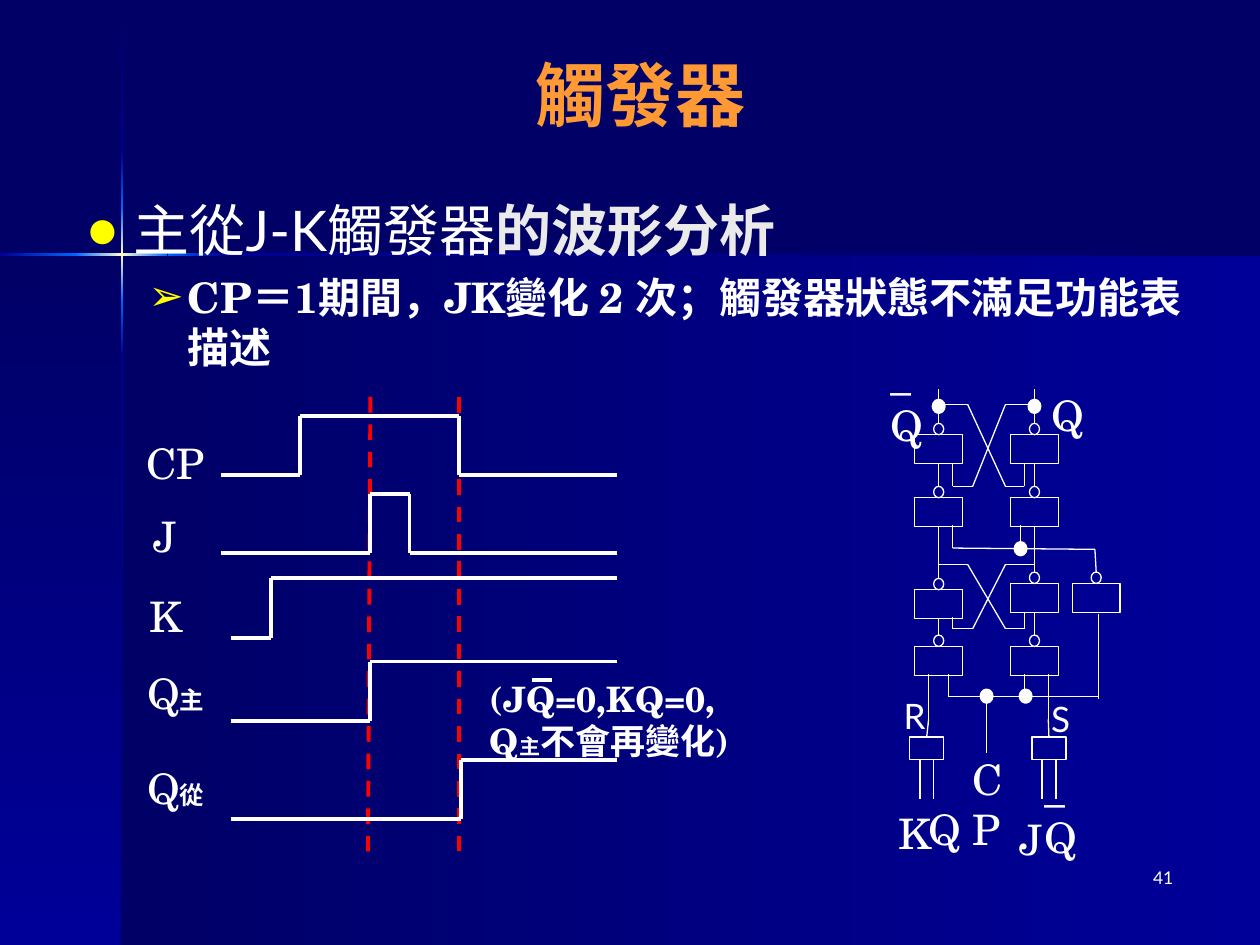
"""Slide on the waveform analysis of a master-slave J-K flip-flop."""
from copy import deepcopy
from itertools import pairwise
from math import dist

from lxml import etree
from pptx import Presentation
from pptx.dml.color import RGBColor
from pptx.enum.dml import MSO_LINE
from pptx.enum.shapes import MSO_CONNECTOR, MSO_SHAPE
from pptx.enum.text import MSO_ANCHOR, MSO_AUTO_SIZE, PP_ALIGN
from pptx.oxml.ns import qn
from pptx.util import Inches, Pt

STRAIGHT = MSO_CONNECTOR.STRAIGHT
RECT, OVAL = MSO_SHAPE.RECTANGLE, MSO_SHAPE.OVAL
DASH = MSO_LINE.DASH
LEFT, CENTER, RIGHT = PP_ALIGN.LEFT, PP_ALIGN.CENTER, PP_ALIGN.RIGHT
MIDDLE = MSO_ANCHOR.MIDDLE
NO_FIT = MSO_AUTO_SIZE.NONE

NAVY = RGBColor(0x00, 0x00, 0x66)
BLUE = RGBColor(0x00, 0x00, 0x99)
BRIGHT = RGBColor(0x00, 0x66, 0xFF)
CREAM = RGBColor(0xFF, 0xFF, 0xCC)
WHITE = RGBColor(0xFF, 0xFF, 0xFF)
GRAY = RGBColor(0xEA, 0xEA, 0xEA)
ORANGE = RGBColor(0xFF, 0x99, 0x33)
RED = RGBColor(0xFF, 0x00, 0x00)
SANS, SERIF = "Lato", "TeX Gyre Schola"

PANELS = [
    (0.97, 2.02, 9.03, 5.48, 0, (NAVY, BLUE)),
    (0, 2.02, 0.97, 5.48, 270, (NAVY, BLUE)),
    (0.96, 0.01, 0.02, 1.2, 270, (NAVY, BLUE)),
    (0.96, 2.82, 0.02, 4.68, 270, (BLUE, NAVY)),
    (1.77, 2.01, 8.23, 0.02, 0, (BLUE, NAVY)),
    (0.96, 2.38, 0.02, 0.44, 270, (BRIGHT, BLUE)),
    (0.96, 1.21, 0.02, 0.44, 270, (BLUE, BRIGHT)),
    (0.96, 1.65, 0.02, 0.73, 270, (BRIGHT, CREAM, BRIGHT)),
    (0, 2.01, 0.61, 0.02, 0, (BLUE, BRIGHT)),
    (1.33, 2.01, 0.44, 0.02, 0, (BRIGHT, BLUE)),
    (0.6, 2.01, 0.73, 0.02, 0, (BRIGHT, CREAM, BRIGHT)),
]
WAVES = [
    (1.75, 3.77, (2.38, 3.64)),
    (1.75, 4.39, (2.94, 3.25)),
    (1.83, 5.06, (2.15,)),
    (1.83, 5.72, (2.94,)),
    (1.83, 6.5, (3.66,)),
]
GATES = [(7.26, 3.45), (8.02, 3.45), (7.26, 3.95), (8.02, 3.95), (7.26, 4.68),
         (8.02, 4.63), (7.26, 5.13), (8.02, 5.13), (8.51, 4.63)]
WIRES = [
    (7.45, 3.36, 7.45, 3.09), (8.21, 3.36, 8.21, 3.09),
    (7.45, 3.86, 7.45, 3.68), (8.21, 3.86, 8.21, 3.68),
    (7.56, 3.86, 7.56, 3.68), (8.13, 3.86, 8.13, 3.68),
    (7.56, 4.17, 7.56, 4.35), (8.1, 4.17, 8.1, 4.35),
    (7.56, 4.35, 8.69, 4.36), (8.69, 4.36, 8.69, 4.54),
    (7.45, 4.58, 7.45, 4.17), (8.21, 4.53, 8.21, 4.17),
    (7.56, 4.99, 7.56, 4.9), (8.13, 4.99, 8.13, 4.86),
    (7.45, 5.04, 7.45, 4.9), (8.21, 5.04, 8.21, 4.86),
    (7.53, 5.35, 7.53, 5.53), (8.13, 5.35, 8.13, 5.53),
    (7.53, 5.53, 8.72, 5.53), (8.72, 5.55, 8.72, 4.87),
    (7.83, 5.53, 7.83, 5.98),
    (7.37, 5.75, 7.37, 5.35), (8.32, 5.75, 8.32, 5.35),
    (7.37, 5.85, 7.37, 5.71), (8.32, 5.85, 8.32, 5.71),
    (7.41, 6.03, 7.41, 6.34), (8.38, 6.03, 8.38, 6.34),
]
DOTS = [(8.06, 4.31), (8.1, 5.48), (7.79, 5.48), (8.17, 3.18), (7.41, 3.18)]


def add_run(p, text, size, font=SERIF, color=WHITE, bold=False):
    """Append one formatted run."""
    r = p.add_run()
    r.text = text
    r.font.size, r.font.name, r.font.bold = Pt(size), font, bold
    r.font.color.rgb = color


def add_text(slide, box, paragraphs, align=LEFT, wrap=True):
    """Add a text box; each paragraph is a list of add_run arguments."""
    tf = slide.shapes.add_textbox(*map(Inches, box)).text_frame
    tf.word_wrap = wrap
    for i, runs in enumerate(paragraphs):
        p = tf.add_paragraph() if i else tf.paragraphs[0]
        p.alignment = align
        for run in runs:
            add_run(p, *run)


def add_bullet(p, char, left, hang):
    """Give a paragraph a yellow hanging bullet."""
    pPr = p._p.get_or_add_pPr()
    pPr.set("marL", str(Inches(left)))
    pPr.set("indent", str(-Inches(hang)))
    color = etree.SubElement(pPr, qn("a:buClr"))
    etree.SubElement(color, qn("a:srgbClr"), val="FFFF00")
    etree.SubElement(pPr, qn("a:buChar"), char=char)


def add_panel(slide, x, y, w, h, angle, colors):
    """Add a borderless rectangle with an evenly spaced gradient."""
    sp = slide.shapes.add_shape(RECT, *map(Inches, (x, y, w, h)))
    sp.shadow.inherit = False
    sp.line.fill.background()
    sp.fill.gradient()
    sp.fill.gradient_angle = angle
    stops = sp._element.spPr.find(".//" + qn("a:gsLst"))
    for _ in colors[2:]:
        stops.insert(1, deepcopy(stops[0]))
    for i, (stop, color) in enumerate(zip(sp.fill.gradient_stops, colors)):
        stop.position = i / (len(colors) - 1)
        stop.color.rgb = color


def add_outline(slide, kind, x, y, w, h, width=0.75, filled=False):
    """Add a white outlined shape, hollow unless filled."""
    sp = slide.shapes.add_shape(kind, *map(Inches, (x, y, w, h)))
    sp.shadow.inherit = False
    if filled:
        sp.fill.solid()
        sp.fill.fore_color.rgb = WHITE
    else:
        sp.fill.background()
    sp.line.color.rgb, sp.line.width = WHITE, Pt(width)
    return sp


def add_line(slide, x1, y1, x2, y2, width=2.25, color=WHITE, dash=None):
    """Add a straight line without shadow."""
    line = slide.shapes.add_connector(STRAIGHT, *map(Inches, (x1, y1, x2, y2)))
    line.line.color.rgb, line.line.width = color, Pt(width)
    if dash:
        line.line.dash_style = dash
    etree.SubElement(line._element.spPr, qn("a:effectLst"))
    return line


def add_wire(slide, sites, x1, y1, x2, y2, width=0.75):
    """Add a circuit wire and join its ends to the sites they touch."""
    line = add_line(slide, x1, y1, x2, y2, width)
    for end, join in (((x1, y1), line.begin_connect), ((x2, y2), line.end_connect)):
        for point, sp, site in sites:
            if dist(end, point) < 0.016:
                join(sp, site)


def add_wave(slide, start, low, edges, end=4.9, swing=0.47):
    """Draw a digital waveform that toggles at each edge."""
    points, y = [(start, low)], low
    for x in edges:
        points.append((x, y))
        y = low - swing if y == low else low
        points.append((x, y))
    points.append((end, y))
    for a, b in pairwise(points):
        add_line(slide, *a, *b)


def add_gate(slide, x, y, w=0.38, h=0.23, bubble=True):
    """Add a gate and return its connection sites."""
    sp = add_outline(slide, RECT, x, y, w, h)
    sites = [((x + w / 2, y + h), sp, 2)]
    if bubble:
        oval = add_outline(slide, OVAL, x + 0.15, y - 0.09, 0.08, 0.09)
        return sites + [((x + w / 2, y - 0.09), oval, 0)]
    return sites + [((x + w / 2, y), sp, 0)]


def add_crossover(slide, top, bottom):
    """Draw the cross-coupled feedback wires of a latch."""
    for wire in ((7.45, top, 7.68, top), (8.21, top, 7.98, top),
                 (7.98, top, 7.72, bottom), (7.68, top, 7.98, bottom),
                 (7.98, bottom, 8.13, bottom), (7.72, bottom, 7.56, bottom)):
        add_line(slide, *wire, 0.75)


def add_headings(slide):
    """Fill the title and body placeholders."""
    title, body = slide.shapes.title, slide.placeholders[1]
    for sp, box in ((title, (0.5, 0.33, 9.17, 0.83)), (body, (0.58, 1.5, 9, 5.17))):
        sp.left, sp.top, sp.width, sp.height = map(Inches, box)
        sp.text_frame.auto_size = NO_FIT
    title.text_frame.vertical_anchor = MIDDLE
    p = title.text_frame.paragraphs[0]
    p.alignment = CENTER
    add_run(p, "觸發器", 40, SANS, ORANGE, True)
    p = body.text_frame.paragraphs[0]
    add_bullet(p, "●", 0.38, 0.38)
    p.space_before = Pt(0)
    add_run(p, "主從J-K觸發器", 32, SANS)
    add_run(p, "的波形分析", 32, SERIF, GRAY, True)
    p = body.text_frame.add_paragraph()
    p.level = 1
    add_bullet(p, "➢", 0.81, 0.31)
    p.space_before = Pt(5)
    add_run(p, "CP＝1期間，JK變化 2 次；觸發器狀態不滿足功能表描述", 24, bold=True)


def add_timing(slide):
    """Draw the timing diagram with its labels and note."""
    add_line(slide, 2.94, 3.15, 2.92, 6.83, color=RED, dash=DASH)
    add_line(slide, 3.64, 3.15, 3.64, 6.77, color=RED, dash=DASH)
    for wave in WAVES:
        add_wave(slide, *wave)
    for x, y, name, sub in ((1.04, 3.42, "CP", ""), (0.96, 4, "J", ""), (0.96, 4.64, "K", ""),
                            (1.04, 5.25, "Q", "主"), (1.04, 6, "Q", "從")):
        runs = [(name, 24)] + ([(sub, 14, SERIF, WHITE, True)] if sub else [])
        add_text(slide, (x, y, 0.71, 0.5), [runs], CENTER)
    note = [(text, size, SERIF, WHITE, True) for text, size in
            (("(JQ=0,KQ=0, Q", 20), ("主", 12), ("不會再變化)", 20))]
    add_text(slide, (3.79, 5.33, 2.28, 0.77), [note])
    add_line(slide, 4.22, 5.4, 4.38, 5.4)


def add_circuit(slide):
    """Draw the gate-level circuit with its labels."""
    sites = [site for x, y in GATES for site in add_gate(slide, x, y)]
    for x in (7.22, 8.19):
        sites += add_gate(slide, x, 5.85, 0.27, 0.18, bubble=False)
    for wire in WIRES:
        add_wire(slide, sites, *wire)
    for x in (7.3, 8.27):
        add_line(slide, x, 6.34, x, 6.03, 1)
    add_crossover(slide, 3.21, 3.86)
    add_crossover(slide, 4.48, 4.99)
    for x, y in DOTS:
        add_outline(slide, OVAL, x, y, 0.08, 0.09, 2.25, True)
    for x, y, w in ((6.97, 2.72, 0.23), (8.19, 5.99, 0.62)):
        add_text(slide, (x, y, w, 0.91), [[("_", 24)], [("Q", 24)]])
    add_text(slide, (7.62, 5.93, 0.65, 0.5), [[("CP", 24)]])
    for x, y, w, name in ((8.25, 3.04, 0.45, "Q"), (7.03, 6.36, 0.44, "K"),
                          (7.27, 6.33, 0.45, "Q"), (7.99, 6.41, 0.38, "J")):
        add_text(slide, (x, y, w, 0.51), [[(name, 24)]], wrap=False)
    for x, y, name in ((7.08, 5.46, "R"), (8.25, 5.49, "S")):
        add_text(slide, (x, y, 0.19, 0.44), [[(name, 20, SANS)]])


def main():
    """Build and save the slide."""
    prs = Presentation()
    prs.slide_width, prs.slide_height = Inches(10), Inches(7.5)
    slide = prs.slides.add_slide(prs.slide_layouts[1])
    slide.background.fill.solid()
    slide.background.fill.fore_color.rgb = NAVY
    for panel in PANELS:
        add_panel(slide, *panel)
    tree = slide.shapes._spTree
    for sp in (slide.shapes.title, slide.placeholders[1]):
        tree.append(sp._element)
    add_headings(slide)
    add_text(slide, (7.33, 6.83, 2.08, 0.5), [[("41", 10, SANS)]], RIGHT)
    add_timing(slide)
    add_circuit(slide)
    prs.save("out.pptx")


if __name__ == "__main__":
    main()
